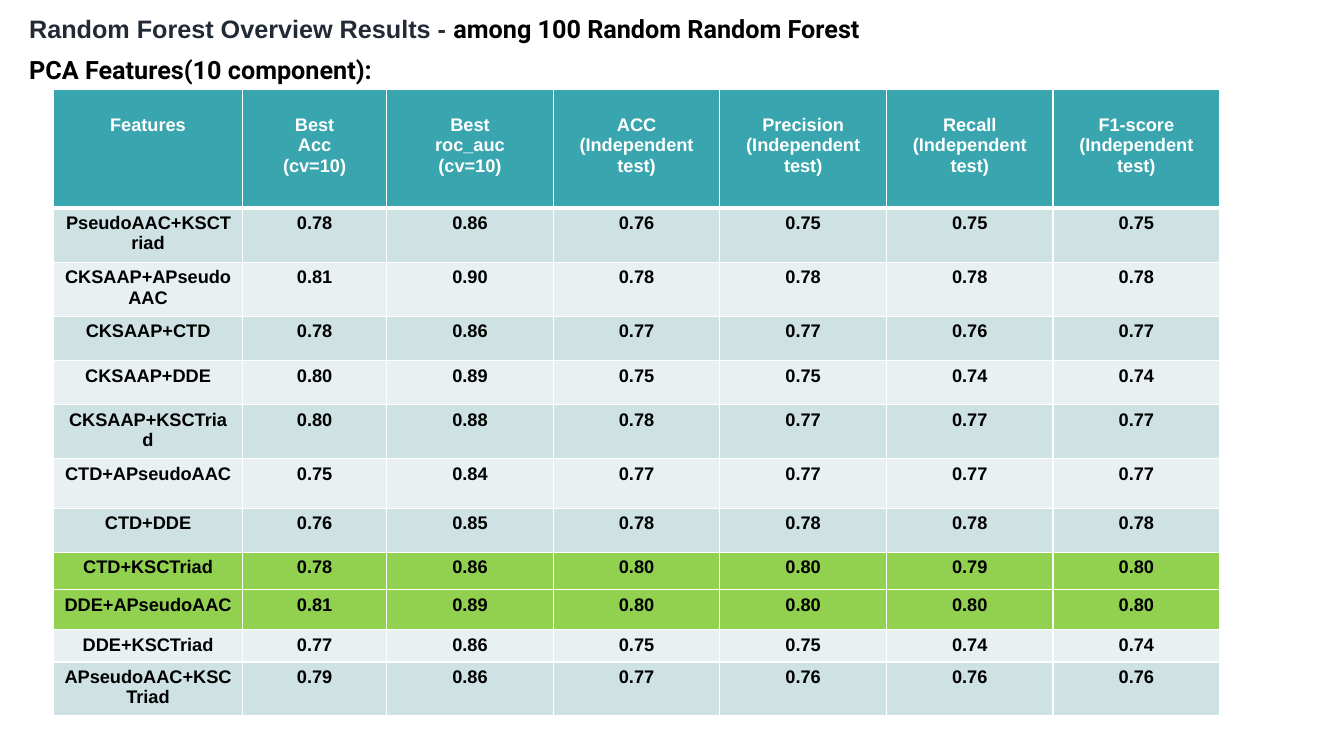
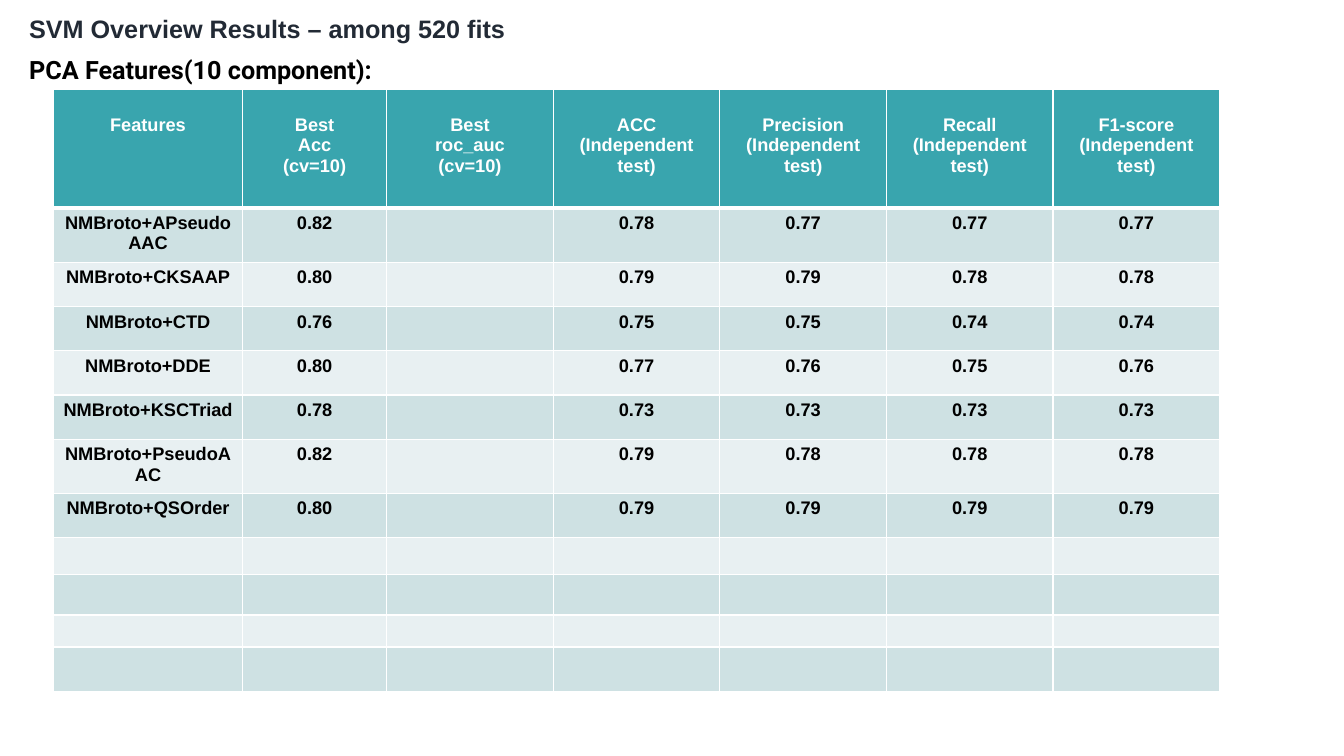
from lxml import etree
from pptx import Presentation
from pptx.dml.color import RGBColor
from pptx.enum.text import MSO_AUTO_SIZE, PP_ALIGN
from pptx.oxml.ns import qn
from pptx.util import Pt

CENTER, JUSTIFY, LEFT = PP_ALIGN.CENTER, PP_ALIGN.JUSTIFY, PP_ALIGN.LEFT
FIT_SHAPE = MSO_AUTO_SIZE.SHAPE_TO_FIT_TEXT

COLORS = {
    "title": "222A35",
    "text": "000000",
    "white": "FFFFFF",
    "header": "39A5AE",
    "odd_row": "CEE1E3",
    "even_row": "E8F0F2",
    "best_row": "92D050",
}
BODY_SIZE = 13
TITLE_SIZE = 18

SUBTITLE = "PCA Features(10 component):"
HEADERS = [
    "Features", "Best\nAcc\n(cv=10)", "Best\nroc_auc\n(cv=10)",
    "ACC\n(Independent test)", "Precision\n(Independent test)",
    "Recall\n(Independent test)", "F1-score\n(Independent test)",
]
COLUMN_WIDTHS = [135, 103] + [119] * 5
HEADER_HEIGHT = 84.5
HEADER_TOP_MARGIN = 18
BLANK_ROW = [""] * len(HEADERS)

RESULTS = [
    {
        "title": [("Random Forest Overview Results - ", "Arial", "title"),
                  ("among 100 Random Random Forest", "Roboto", "text")],
        "heights": [38.9, 38.6, 31.6, 31.6, 31.6, 35.3, 31.6, 26.6, 28.8, 22.9, 38.6],
        "best": ["CTD+KSCTriad", "DDE+APseudoAAC"],
        "rows": [
            ["PseudoAAC+KSCTriad", "0.78", "0.86", "0.76", "0.75", "0.75", "0.75"],
            ["CKSAAP+APseudoAAC", "0.81", "0.90", "0.78", "0.78", "0.78", "0.78"],
            ["CKSAAP+CTD", "0.78", "0.86", "0.77", "0.77", "0.76", "0.77"],
            ["CKSAAP+DDE", "0.80", "0.89", "0.75", "0.75", "0.74", "0.74"],
            ["CKSAAP+KSCTriad", "0.80", "0.88", "0.78", "0.77", "0.77", "0.77"],
            ["CTD+APseudoAAC", "0.75", "0.84", "0.77", "0.77", "0.77", "0.77"],
            ["CTD+DDE", "0.76", "0.85", "0.78", "0.78", "0.78", "0.78"],
            ["CTD+KSCTriad", "0.78", "0.86", "0.80", "0.80", "0.79", "0.80"],
            ["DDE+APseudoAAC", "0.81", "0.89", "0.80", "0.80", "0.80", "0.80"],
            ["DDE+KSCTriad", "0.77", "0.86", "0.75", "0.75", "0.74", "0.74"],
            ["APseudoAAC+KSCTriad", "0.79", "0.86", "0.77", "0.76", "0.76", "0.76"],
        ],
    },
    {
        "title": [("SVM Overview Results – among 520 fits", "Arial", "title")],
        "heights": [38.9, 31.6, 31.6, 31.6, 31.6, 38.6, 31.6, 26.6, 28.8, 22.9, 31.6],
        "best": [],
        "rows": [
            ["NMBroto+APseudoAAC", "0.82", "", "0.78", "0.77", "0.77", "0.77"],
            ["NMBroto+CKSAAP", "0.80", "", "0.79", "0.79", "0.78", "0.78"],
            ["NMBroto+CTD", "0.76", "", "0.75", "0.75", "0.74", "0.74"],
            ["NMBroto+DDE", "0.80", "", "0.77", "0.76", "0.75", "0.76"],
            ["NMBroto+KSCTriad", "0.78", "", "0.73", "0.73", "0.73", "0.73"],
            ["NMBroto+PseudoAAC", "0.82", "", "0.79", "0.78", "0.78", "0.78"],
            ["NMBroto+QSOrder", "0.80", "", "0.79", "0.79", "0.79", "0.79"],
        ] + [BLANK_ROW] * 4,
    },
]


def write(paragraph, text, font="Arial", size=BODY_SIZE, color="text", align=CENTER):
    """Append one bold run; an empty text only fixes the height of the line."""
    paragraph.alignment = align
    if not text:
        etree.SubElement(paragraph._p, qn("a:endParaRPr"), sz=str(size * 100))
        return
    run = paragraph.add_run()
    run.text = text
    run.font.name = font
    run.font.size = Pt(size)
    run.font.bold = True
    run.font.color.rgb = RGBColor.from_string(COLORS[color])


def style_cell(cell, fill, top, bottom):
    """Fill the cell and give it white borders; top and bottom are widths in points."""
    properties = cell._tc.get_or_add_tcPr()
    for side, width in (("L", 1), ("R", 1), ("T", top), ("B", bottom)):
        line = etree.SubElement(properties, qn(f"a:ln{side}"), w=str(Pt(width)))
        solid = etree.SubElement(line, qn("a:solidFill"))
        etree.SubElement(solid, qn("a:srgbClr"), val=COLORS["white"])
    cell.fill.solid()
    cell.fill.fore_color.rgb = RGBColor.from_string(COLORS[fill])


presentation = Presentation()
presentation.slide_width = Pt(960)
presentation.slide_height = Pt(540)
blank_layout = presentation.slide_layouts[6]

for result in RESULTS:
    slide = presentation.slides.add_slide(blank_layout)

    headings = [
        (35.3, 793, JUSTIFY, [(SUBTITLE, "Roboto", "text")]),
        (5.8, 680, LEFT, result["title"]),
    ]
    for top, width, align, parts in headings:
        frame = slide.shapes.add_textbox(Pt(13.7), Pt(top), Pt(width), Pt(29)).text_frame
        frame.word_wrap = True
        frame.auto_size = FIT_SHAPE
        for text, font, color in parts:
            write(frame.paragraphs[0], text, font, TITLE_SIZE, color, align)

    rows = [HEADERS] + result["rows"]
    heights = [HEADER_HEIGHT] + result["heights"]
    table = slide.shapes.add_table(
        len(rows), len(HEADERS), Pt(38.2), Pt(64.1),
        Pt(sum(COLUMN_WIDTHS)), Pt(sum(heights))).table
    table.horz_banding = False
    for column, width in zip(table.columns, COLUMN_WIDTHS):
        column.width = Pt(width)

    for row_index, (values, height) in enumerate(zip(rows, heights)):
        table.rows[row_index].height = Pt(height)
        is_header = row_index == 0
        if is_header:
            fill = "header"
        elif values[0] in result["best"]:
            fill = "best_row"
        else:
            fill = "odd_row" if row_index % 2 else "even_row"

        for column_index, value in enumerate(values):
            cell = table.cell(row_index, column_index)
            style_cell(cell, fill, top=3 if row_index == 1 else 1, bottom=3 if is_header else 1)
            if is_header:
                cell.margin_top = Pt(HEADER_TOP_MARGIN)
            frame = cell.text_frame
            for line_index, line in enumerate(value.split("\n")):
                paragraph = frame.add_paragraph() if line_index else frame.paragraphs[0]
                write(paragraph, line, color="white" if is_header else "text")

presentation.save("out.pptx")
